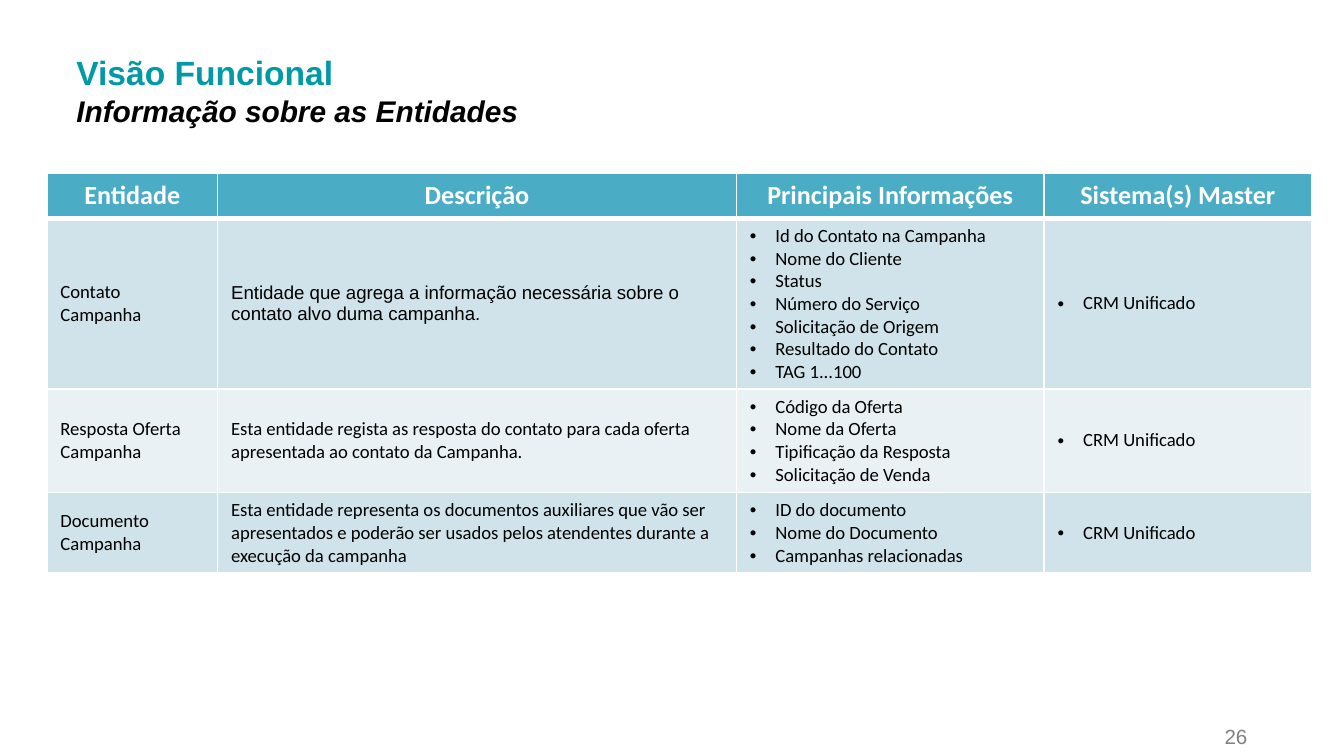
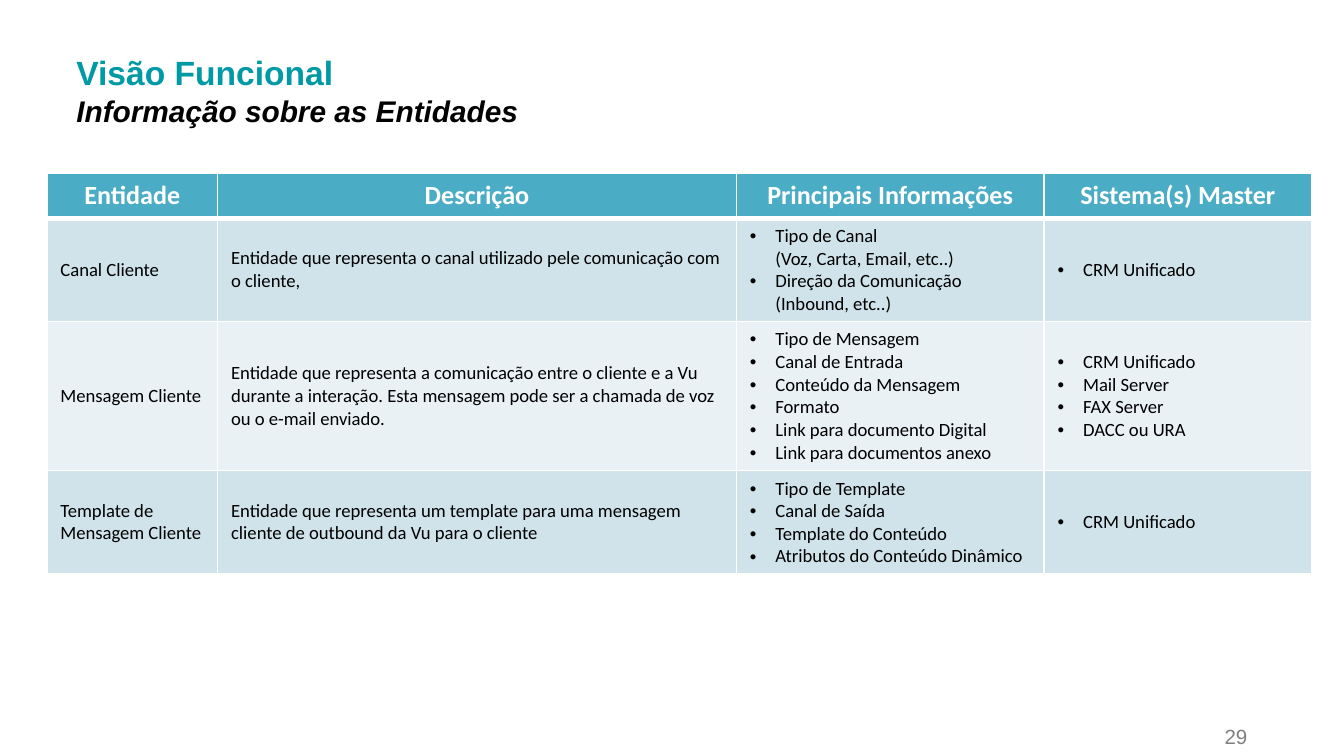
from dataclasses import dataclass

from lxml import etree
from pptx import Presentation
from pptx import util as u
from pptx.dml.color import RGBColor
from pptx.enum import text
from pptx.oxml import ns


@dataclass(frozen=True)
class Theme:
    teal: str = "009AA6"
    header: str = "4BACC6"
    bands: tuple = ("D0E3EA", "E9F1F5")
    black: str = "000000"
    white: str = "FFFFFF"
    grey: str = "808080"
    heading_font: str = "Arial"
    table_font: str = "Calibri"
    title_size: int = 18
    subtitle_size: int = 16
    header_size: int = 14
    body_size: int = 10
    page_size: int = 11


THEME = Theme()

# Widescreen slide, 16:9
SLIDE_WIDTH = u.Inches(10)
SLIDE_HEIGHT = SLIDE_WIDTH * 9 // 16

# Shared regions: left, top, width, height
TITLE_BOX = (0.47, 0.34, 7.4, 0.67)
TABLE_BOX = (0.35, 1.29, 9.41, 2.97)
PAGE_BOX = (8.46, 5.33, 0.92, 0.29)

COLUMNS = (("Entidade", 1.27), ("Descrição", 3.86),
           ("Principais Informações", 2.29), ("Sistema(s) Master", 1.99))
HEADER_HEIGHT = 0.33
BULLET_INDENT = 0.19


@dataclass(frozen=True)
class Entity:
    name: str
    description: str
    details: tuple
    height: float
    masters: tuple = ("CRM Unificado",)
    description_font: str = THEME.table_font


CAMPAIGN_ENTITIES = (
    Entity("Contato Campanha",
           "Entidade que agrega a informação necessária sobre o contato alvo duma campanha.",
           ("Id do Contato na Campanha", "Nome do Cliente", "Status",
            "Número do Serviço", "Solicitação de Origem",
            "Resultado do Contato", "TAG 1...100"),
           1.27, description_font=THEME.heading_font),
    Entity("Resposta Oferta Campanha",
           "Esta entidade regista as resposta do contato para cada oferta "
           "apresentada ao contato da Campanha.",
           ("Código da Oferta", "Nome da Oferta", "Tipificação da Resposta",
            "Solicitação de Venda"), 0.77),
    Entity("Documento Campanha",
           "Esta entidade representa os documentos auxiliares que vão ser apresentados "
           "e poderão ser usados pelos atendentes durante a execução da campanha",
           ("ID do documento", "Nome do Documento", "Campanhas relacionadas"), 0.6),
)

CLIENT_ENTITIES = (
    Entity("Canal Cliente",
           "Entidade que representa o canal utilizado pele comunicação com o cliente,",
           ("Tipo de Canal\v(Voz, Carta, Email, etc..)",
            "Direção da Comunicação (Inbound, etc..)"), 0.76),
    Entity("Mensagem Cliente",
           "Entidade que representa a comunicação entre o cliente e a Vu durante a "
           "interação. Esta mensagem pode ser a chamada de voz ou o e-mail enviado.",
           ("Tipo de Mensagem", "Canal de Entrada", "Conteúdo da Mensagem", "Formato",
            "Link para documento Digital", "Link para documentos anexo"), 1.11,
           masters=("CRM Unificado", "Mail Server", "FAX Server", "DACC ou URA")),
    Entity("Template de Mensagem Cliente",
           "Entidade que representa um template para uma mensagem cliente "
           "de outbound da Vu para o cliente",
           ("Tipo de Template", "Canal de Saída", "Template do Conteúdo",
            "Atributos do Conteúdo Dinâmico"), 0.76),
)


def write(frame, wording, first=True, size=THEME.body_size, font=THEME.table_font,
          color=THEME.black, bold=False, italic=False, align=text.PP_ALIGN.LEFT,
          bullet=False, line_spacing=None):
    """Write one paragraph into a text frame."""
    paragraph = frame.paragraphs[0] if first else frame.add_paragraph()
    paragraph.text = wording
    paragraph.alignment = align
    if line_spacing:
        paragraph.line_spacing = line_spacing
    if bullet:
        props = paragraph._p.get_or_add_pPr()
        indent = u.Inches(BULLET_INDENT)
        props.set("marL", str(indent))
        props.set("indent", str(-indent))
        etree.SubElement(props, ns.qn("a:buFont"), typeface="Arial")
        etree.SubElement(props, ns.qn("a:buChar"), char="•")
    for run in paragraph.runs:
        run.font.size = u.Pt(size)
        run.font.name = font
        run.font.bold = bold
        run.font.italic = italic
        run.font.color.rgb = RGBColor.from_string(color)


def add_text_box(slide, box):
    frame = slide.shapes.add_textbox(*map(u.Inches, box)).text_frame
    frame.word_wrap = True
    return frame


def style_cell(cell, fill, top=1, bottom=1):
    """Set white borders (widths in points), the fill and the anchor."""
    props = cell._tc.get_or_add_tcPr()
    for side, width in (("L", 1), ("R", 1), ("T", top), ("B", bottom)):
        line = etree.SubElement(props, ns.qn(f"a:ln{side}"), w=str(u.Pt(width)))
        paint = etree.SubElement(line, ns.qn("a:solidFill"))
        etree.SubElement(paint, ns.qn("a:srgbClr"), val=THEME.white)
    cell.fill.solid()
    cell.fill.fore_color.rgb = RGBColor.from_string(fill)
    cell.vertical_anchor = text.MSO_ANCHOR.MIDDLE


def add_title(slide, box):
    frame = add_text_box(slide, box)
    frame.auto_size = text.MSO_AUTO_SIZE.SHAPE_TO_FIT_TEXT
    write(frame, "Visão Funcional", size=THEME.title_size,
          font=THEME.heading_font, color=THEME.teal, bold=True)
    write(frame, "Informação sobre as Entidades", first=False, size=THEME.subtitle_size,
          font=THEME.heading_font, bold=True, italic=True)


def add_page_number(slide, box, number):
    frame = add_text_box(slide, box)
    frame.vertical_anchor = text.MSO_ANCHOR.BOTTOM
    write(frame, str(number), size=THEME.page_size, font=THEME.heading_font,
          color=THEME.grey, align=text.PP_ALIGN.RIGHT, line_spacing=0.8)


def add_entity_table(slide, box, entities):
    table = slide.shapes.add_table(len(entities) + 1, len(COLUMNS),
                                   *map(u.Inches, box)).table

    # Header row
    table.rows[0].height = u.Inches(HEADER_HEIGHT)
    for column, (heading, width) in enumerate(COLUMNS):
        table.columns[column].width = u.Inches(width)
        cell = table.cell(0, column)
        style_cell(cell, THEME.header, bottom=3)
        write(cell.text_frame, heading, size=THEME.header_size, color=THEME.white,
              bold=True, align=text.PP_ALIGN.CENTER)

    # One banded row per entity
    for row, entity in enumerate(entities, start=1):
        table.rows[row].height = u.Inches(entity.height)
        cells = [table.cell(row, column) for column in range(len(COLUMNS))]
        for cell in cells:
            style_cell(cell, THEME.bands[(row - 1) % 2], top=3 if row == 1 else 1)
        name, description, details, masters = (cell.text_frame for cell in cells)
        write(name, entity.name)
        write(description, entity.description, font=entity.description_font)
        for frame, items in ((details, entity.details), (masters, entity.masters)):
            for index, item in enumerate(items):
                write(frame, item, first=index == 0, bullet=True)


def add_entity_slide(deck, number, entities):
    slide = deck.slides.add_slide(deck.slide_layouts[6])
    add_page_number(slide, PAGE_BOX, number)
    add_title(slide, TITLE_BOX)
    add_entity_table(slide, TABLE_BOX, entities)


def main():
    deck = Presentation()
    deck.slide_width, deck.slide_height = SLIDE_WIDTH, SLIDE_HEIGHT
    add_entity_slide(deck, 26, CAMPAIGN_ENTITIES)
    add_entity_slide(deck, 29, CLIENT_ENTITIES)
    deck.save("out.pptx")


if __name__ == "__main__":
    main()
